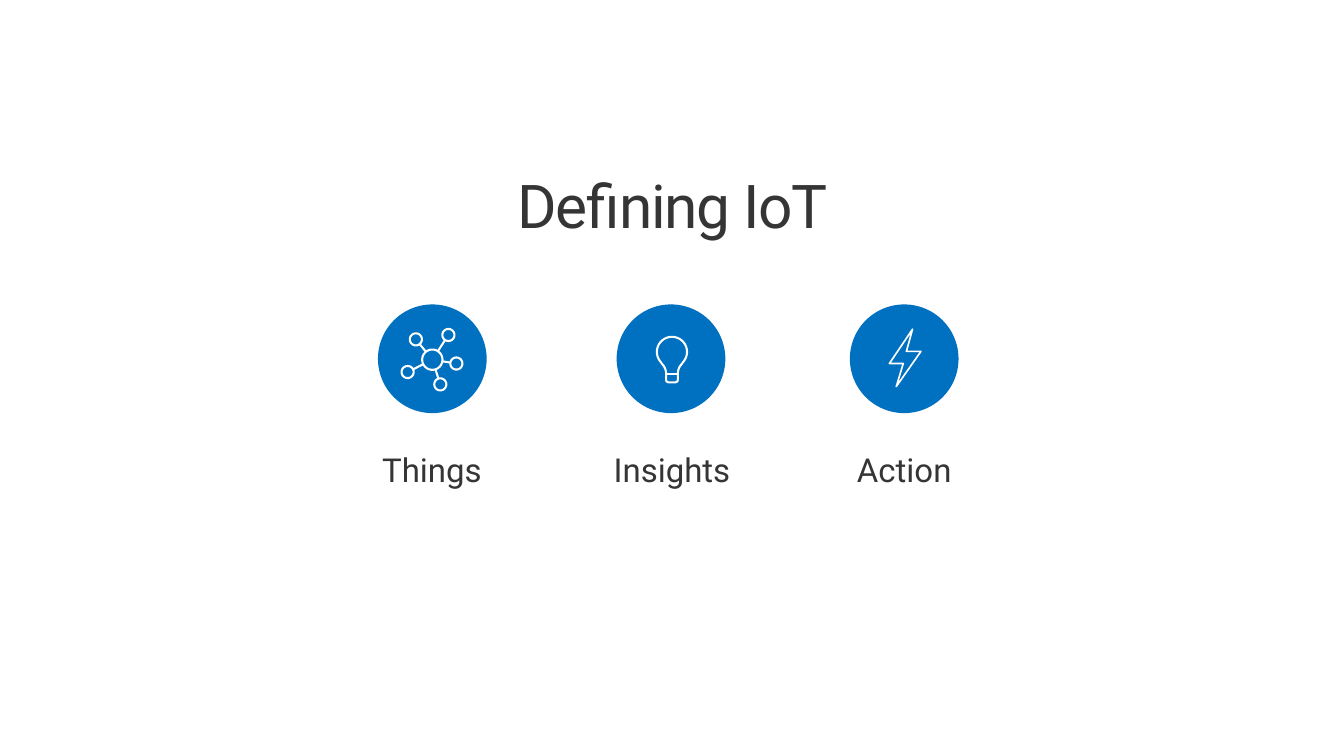
import math
from collections.abc import Callable
from dataclasses import dataclass

import pptx
import pptx.dml.color
import pptx.enum.shapes
import pptx.enum.text
import pptx.util

Pt = pptx.util.Pt
Point = tuple[float, float]

COLOURS = {"ink": "353535", "disc": "0070C0", "icon": "FFFFFF"}
DISC_SIZE, DISC_MIDDLE = 79.2, 261.4
LABEL_WIDTH, LABEL_TOP, LABEL_HEIGHT = 172.8, 319, 49.7

TITLE_FRAME = {
    "margin_left": Pt(11.5), "margin_right": Pt(11.5),
    "margin_top": Pt(7.2), "margin_bottom": Pt(7.2),
    "vertical_anchor": pptx.enum.text.MSO_ANCHOR.TOP,
    "auto_size": pptx.enum.text.MSO_AUTO_SIZE.NONE, "word_wrap": True,
}
LABEL_FRAME = {
    "margin_left": Pt(14.4), "margin_right": Pt(14.4),
    "margin_top": Pt(11.5), "margin_bottom": Pt(11.5),
    "vertical_anchor": pptx.enum.text.MSO_ANCHOR.MIDDLE,
    "auto_size": pptx.enum.text.MSO_AUTO_SIZE.SHAPE_TO_FIT_TEXT, "word_wrap": True,
}
PARAGRAPH = {"alignment": pptx.enum.text.PP_ALIGN.CENTER, "line_spacing": 0.9}


@dataclass
class Contour:
    points: list[Point]
    closed: bool = True


@dataclass
class Icon:
    contours: list[Contour]
    line_width: float


@dataclass
class Pillar:
    label: str
    label_centre: float
    disc_centre: float
    make_icon: Callable[[], Icon]


def colour(key: str) -> pptx.dml.color.RGBColor:
    return pptx.dml.color.RGBColor.from_string(COLOURS[key])


def apply(target, values: dict) -> None:
    for attribute, value in values.items():
        setattr(target, attribute, value)


def write(frame, text: str, size: float, frame_format: dict):
    apply(frame, frame_format)
    paragraph = frame.paragraphs[0]
    apply(paragraph, PARAGRAPH)
    run = paragraph.add_run()
    run.text = text
    apply(run.font, {"name": "Roboto", "size": Pt(size)})
    run.font.color.rgb = colour("ink")
    return run


def arc(centre: Point, radius: float, start: int, end: int) -> list[Point]:
    angles = [math.radians(degree) for degree in range(start, end + 1, 10)]
    return [(centre[0] + radius * math.cos(a), centre[1] + radius * math.sin(a))
            for a in angles]


# Icons, measured from the middle of their disc
def network() -> Icon:
    hub_y, hub_radius, node_radius = 0.7, 7.4, 4.4
    contours = [Contour(arc((0, hub_y), hub_radius, 0, 350))]
    for x, y in [(11.7, -18), (-12, -14.8), (-18, 9), (5.8, 18), (17.5, 2.8)]:
        length = math.hypot(x, y)
        reach = (hub_radius / length, 1 - node_radius / length)
        contours.append(Contour(arc((x, hub_y + y), node_radius, 0, 350)))
        contours.append(Contour([(x * r, hub_y + y * r) for r in reach], False))
    return Icon(contours, 1.5)


def bulb() -> Icon:
    middle = 0.7
    right_base = [(5.6, 5.8), (4.6, 8.2), (4.3, 10.1), (4.3, 15.3),
                  (4, 16.5), (2.6, 17.2)]
    left_base = [(-x, y) for x, y in reversed(right_base)]
    base = [(middle + x, y) for x, y in right_base + left_base]
    collar = [(middle - 4.3, 10.8), (middle + 4.3, 10.8)]
    glass = arc((middle, -5), 11, 140, 400)
    return Icon([Contour(glass + base), Contour(collar, False)], 1.5)


def bolt() -> Icon:
    return Icon([Contour([(6.1, -21.6), (-10.8, 3.4), (-0.7, 3.4),
                          (-5.8, 20.2), (12.2, -5.4), (1.6, -5.4)])], 1.2)


def draw_icon(group, icon: Icon, centre: Point) -> None:
    builder = None
    for contour in icon.contours:
        first, *rest = [(Pt(centre[0] + x), Pt(centre[1] + y))
                        for x, y in contour.points]
        if builder is None:
            builder = group.shapes.build_freeform(*first)
        else:
            builder.move_to(*first)
        builder.add_line_segments(rest, close=contour.closed)
    drawing = builder.convert_to_shape()
    drawing.shadow.inherit = False
    drawing.fill.background()
    drawing.line.color.rgb = colour("icon")
    drawing.line.width = Pt(icon.line_width)


def draw_label(slide, pillar: Pillar) -> None:
    label = slide.shapes.add_textbox(
        Pt(pillar.label_centre - LABEL_WIDTH / 2), Pt(LABEL_TOP),
        Pt(LABEL_WIDTH), Pt(LABEL_HEIGHT))
    write(label.text_frame, pillar.label, 24, LABEL_FRAME)


def draw_badge(slide, pillar: Pillar) -> None:
    badge = slide.shapes.add_group_shape()
    disc = badge.shapes.add_shape(
        pptx.enum.shapes.MSO_SHAPE.OVAL,
        Pt(pillar.disc_centre - DISC_SIZE / 2), Pt(DISC_MIDDLE - DISC_SIZE / 2),
        Pt(DISC_SIZE), Pt(DISC_SIZE))
    disc.shadow.inherit = False
    disc.fill.solid()
    disc.fill.fore_color.rgb = colour("disc")
    disc.line.fill.background()
    draw_icon(badge, pillar.make_icon(), (pillar.disc_centre, DISC_MIDDLE))


PILLARS = [
    Pillar("Things", 314.7, 315, network),
    Pillar("Insights", 489.6, 488.9, bulb),
    Pillar("Action", 658.8, 658.8, bolt),
]


def main() -> None:
    deck = pptx.Presentation()
    apply(deck, {"slide_width": Pt(979.2), "slide_height": Pt(550.8)})
    slide = deck.slides.add_slide(deck.slide_layouts[5])

    # Title
    title = slide.shapes.title
    apply(title, {"left": Pt(273.6), "top": Pt(121),
                  "width": Pt(432.7), "height": Pt(56.2)})
    heading = write(title.text_frame, "Defining IoT", 44, TITLE_FRAME)
    heading._r.get_or_add_rPr().set("spc", "-102")

    # Three pillars
    for pillar in PILLARS:
        draw_label(slide, pillar)
        draw_badge(slide, pillar)

    deck.save("out.pptx")


if __name__ == "__main__":
    main()
